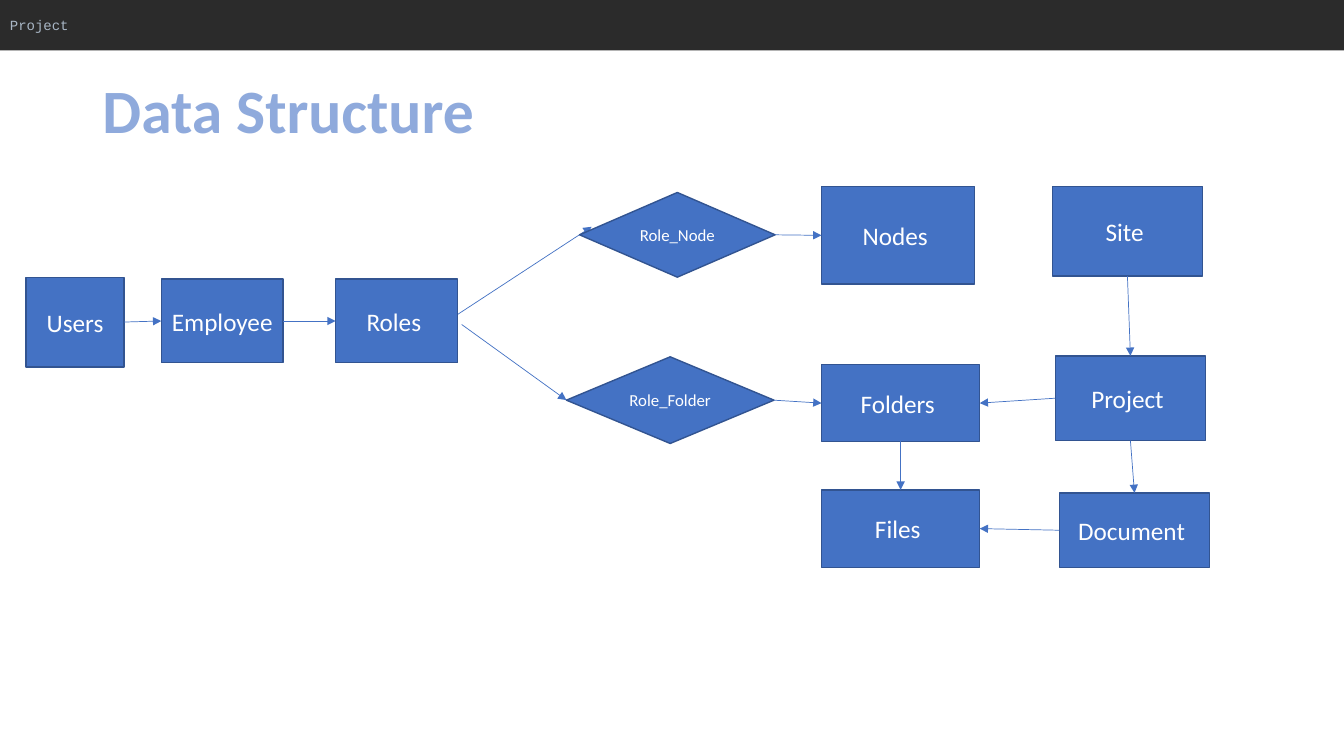
from lxml import etree
from pptx import Presentation
from pptx.dml.color import RGBColor
from pptx.enum.shapes import MSO_CONNECTOR, MSO_SHAPE
from pptx.enum.text import MSO_ANCHOR, PP_ALIGN
from pptx.oxml.ns import qn
from pptx.util import Pt

RECT, DECISION = MSO_SHAPE.RECTANGLE, MSO_SHAPE.FLOWCHART_DECISION
STRAIGHT = MSO_CONNECTOR.STRAIGHT
MIDDLE = MSO_ANCHOR.MIDDLE
LEFT, CENTER = PP_ALIGN.LEFT, PP_ALIGN.CENTER
TOP_SITE, LEFT_SITE, BOTTOM_SITE, RIGHT_SITE = range(4)

WHITE = RGBColor(0xFF, 0xFF, 0xFF)
BLUE = RGBColor(0x44, 0x72, 0xC4)
DARK_BLUE = RGBColor(0x32, 0x54, 0x91)
TITLE_BLUE = RGBColor(0x8F, 0xAA, 0xDC)
CHARCOAL = RGBColor(0x2B, 0x2B, 0x2B)
CODE_GREY = RGBColor(0xA9, 0xB7, 0xC6)

SLIDE_WIDTH, SLIDE_HEIGHT = 960, 540

# Label: left, top, width, height within the diagram
ENTITIES = {
    "Users": (0, 64.8, 69.8, 64.1),
    "Employee": (96.5, 66.2, 87.1, 59.8),
    "Roles ": (221.1, 66.2, 87.1, 59.8),
    "Nodes ": (568.1, 0, 109.4, 69.8),
    "Folders ": (568.1, 127.4, 113, 54.7),
    "Files ": (568.1, 216.7, 113, 55.4),
    "Site ": (733, 0, 107.3, 64.1),
    "Project ": (735.1, 121, 107.3, 60.5),
    "Document ": (738, 218.9, 107.3, 53.3),
}
RELATIONS = {
    "Role_Node": (395.3, 4.3, 139.7, 60.5),
    "Role_Folder": (385.9, 121.7, 148.3, 61.9),
}
# The two branches from Roles run between free points
BRANCHES = [(308.2, 91.4, 403.9, 28.8), (311.1, 98.6, 385.9, 152.6)]
RIGHTWARD = (RIGHT_SITE, LEFT_SITE)
LEFTWARD = (LEFT_SITE, RIGHT_SITE)
DOWNWARD = (BOTTOM_SITE, TOP_SITE)
LINKS = [
    ("Users", "Employee", RIGHTWARD),
    ("Employee", "Roles ", RIGHTWARD),
    ("Role_Node", "Nodes ", RIGHTWARD),
    ("Role_Folder", "Folders ", RIGHTWARD),
    ("Folders ", "Files ", DOWNWARD),
    ("Site ", "Project ", DOWNWARD),
    ("Project ", "Folders ", LEFTWARD),
    ("Project ", "Document ", DOWNWARD),
    ("Document ", "Files ", LEFTWARD),
]


def write_text(shape, text, *, size, color, font="Calibri", bold=False,
               align=LEFT, spacing=1.0, wrap=True):
    frame = shape.text_frame
    frame.word_wrap = wrap
    frame.vertical_anchor = MIDDLE
    paragraph = frame.paragraphs[0]
    paragraph.alignment = align
    paragraph.line_spacing = spacing
    run = paragraph.add_run()
    run.text = text
    run.font.name = font
    run.font.size = Pt(size)
    run.font.bold = bold
    run.font.color.rgb = color


def add_block(slide, kind, box, fill, outline=None):
    block = slide.shapes.add_shape(kind, *map(Pt, box))
    block.shadow.inherit = False
    block.fill.solid()
    block.fill.fore_color.rgb = fill
    if outline is None:
        block.line.fill.background()
    else:
        block.line.color.rgb = outline
        block.line.width = Pt(1)
    return block


def add_arrow(slide, start_x=0, start_y=0, end_x=0, end_y=0):
    arrow = slide.shapes.add_connector(
        STRAIGHT, Pt(start_x), Pt(start_y), Pt(end_x), Pt(end_y))
    arrow.line.color.rgb = BLUE
    arrow.line.width = Pt(0.5)
    etree.SubElement(arrow.line._get_or_add_ln(), qn("a:tailEnd"), type="triangle")
    etree.SubElement(arrow._element.spPr, qn("a:effectLst"))
    return arrow


def add_header(slide, box):
    bar = add_block(slide, RECT, box, CHARCOAL)
    write_text(bar, "Project", size=10, color=CODE_GREY, font="Courier New",
               wrap=False)


def add_title(slide, box):
    title = slide.shapes.title
    title.left, title.top, title.width, title.height = map(Pt, box)
    write_text(title, "Data Structure", size=44, color=TITLE_BLUE, bold=True,
               spacing=0.9)


def add_diagram(slide, left, top):
    for x1, y1, x2, y2 in BRANCHES:
        add_arrow(slide, left + x1, top + y1, left + x2, top + y2)

    nodes = {}
    for kind, size, group in ((RECT, 18, ENTITIES), (DECISION, 12, RELATIONS)):
        for label, (x, y, width, height) in group.items():
            box = (left + x, top + y, width, height)
            nodes[label] = add_block(slide, kind, box, BLUE, DARK_BLUE)
            write_text(nodes[label], label, size=size, color=WHITE, align=CENTER)

    for source, target, (exit_site, entry_site) in LINKS:
        arrow = add_arrow(slide)
        arrow.begin_connect(nodes[source], exit_site)
        arrow.end_connect(nodes[target], entry_site)


def main():
    deck = Presentation()
    deck.slide_width, deck.slide_height = Pt(SLIDE_WIDTH), Pt(SLIDE_HEIGHT)
    slide = deck.slides.add_slide(deck.slide_layouts.get_by_name("Title Only"))
    add_header(slide, (0, 0, SLIDE_WIDTH, 36))
    add_title(slide, (66, 28.8, 828, 104.4))
    add_diagram(slide, 18.7, 133.2)
    deck.save("out.pptx")


if __name__ == "__main__":
    main()
